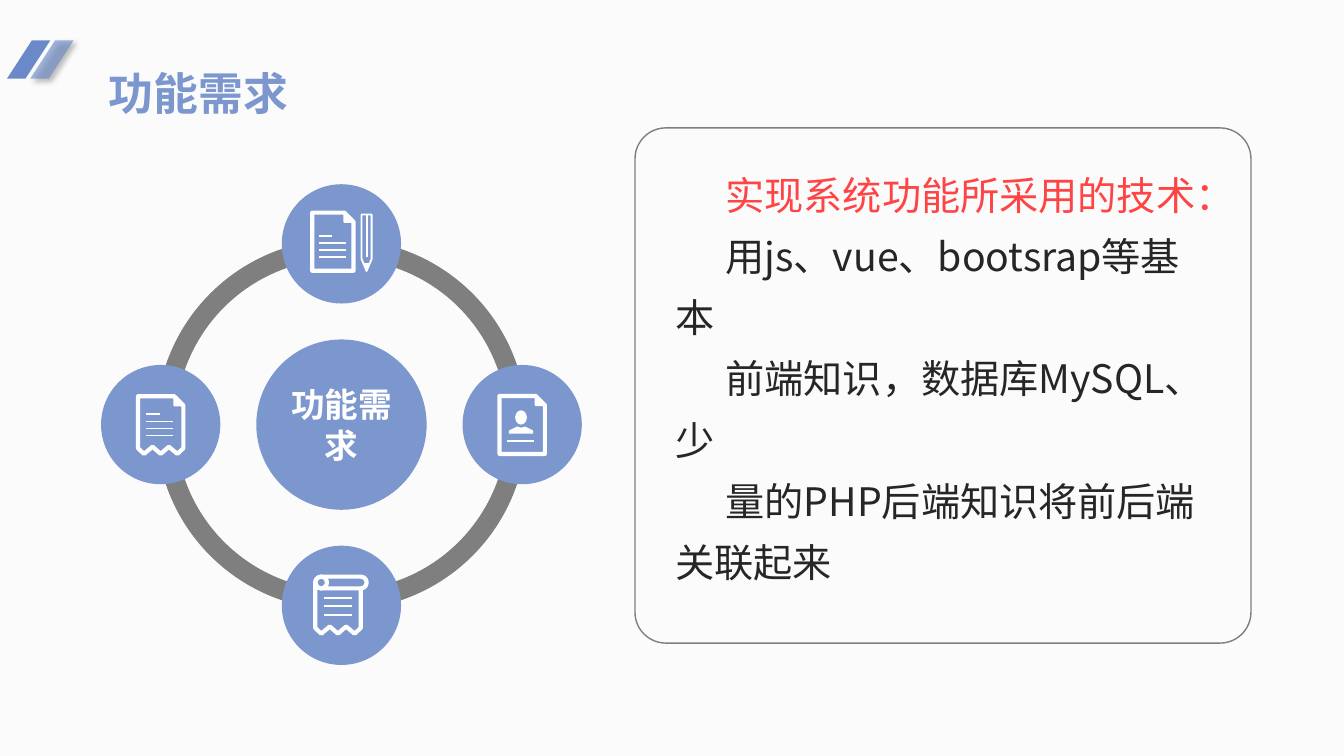
from dataclasses import dataclass

from lxml.etree import SubElement
from pptx import Presentation
from pptx.dml.color import RGBColor
from pptx.enum.shapes import MSO_CONNECTOR, MSO_SHAPE
from pptx.enum.text import MSO_ANCHOR, PP_ALIGN
from pptx.oxml.ns import qn
from pptx.util import Pt


@dataclass(frozen=True)
class Theme:
    paper: str = "FBFBFB"
    mark: str = "6A89C8"
    blue: str = "7C97CE"
    grey: str = "7F7F7F"
    white: str = "FFFFFF"
    red: str = "FE4444"
    ink: str = "262626"
    font: str = "Noto Sans CJK SC"
    latin: str = "Arial"
    title: int = 32
    body: int = 28
    hub: int = 24
    icon_line: float = 3
    row_line: float = 1.3


T = Theme()


def rgb(color):
    return RGBColor.from_string(color)


# Shared drawing helpers
def paint(sp, fill=None, line=None, width=1):
    sp.shadow.inherit = False
    if fill:
        sp.fill.solid()
        sp.fill.fore_color.rgb = rgb(fill)
    else:
        sp.fill.background()
    if line:
        sp.line.color.rgb = rgb(line)
        sp.line.width = Pt(width)
    else:
        sp.line.fill.background()
    return sp


def add_preset(s, kind, x, y, w, h, **look):
    sp = s.shapes.add_shape(kind, Pt(x), Pt(y), Pt(w), Pt(h))
    return paint(sp, **look)


def add_disc(s, cx, cy, d, **look):
    return add_preset(s, MSO_SHAPE.OVAL, cx - d / 2, cy - d / 2, d, d, **look)


def add_outline(s, cx, cy, points, closed=True, **look):
    dots = [(Pt(cx + x), Pt(cy + y)) for x, y in points]
    builder = s.shapes.build_freeform(*dots[0])
    builder.add_line_segments(dots[1:], close=closed)
    return paint(builder.convert_to_shape(), **look)


def add_rule(s, x1, y1, x2, y2):
    cn = s.shapes.add_connector(MSO_CONNECTOR.STRAIGHT, Pt(x1), Pt(y1), Pt(x2), Pt(y2))
    cn.line.color.rgb = rgb(T.white)
    cn.line.width = Pt(T.row_line)
    SubElement(cn._element.spPr, qn("a:effectLst"))


def style(p, size, color, bold=False, font=T.font):
    p.font.size, p.font.bold, p.font.name = Pt(size), bold, font
    p.font.color.rgb = rgb(color)
    props = p._p.pPr.find(qn("a:defRPr"))
    SubElement(props, qn("a:ea"), typeface=T.font)


# Icon parts, placed from the centre of their disc
def torn_edge(left, y):
    steps = [(0, 0), (4.3, 4), (10.4, -1.1), (16.2, 4), (22, -1.1), (28.1, 4), (32.4, 0)]
    return [(left + dx, y + dy) for dx, dy in steps]


def add_page(s, cx, cy, right, top, bottom_edge):
    fold = 6.6
    corner = [(right - fold, top), (right, top + fold)]
    add_outline(s, cx, cy, [(bottom_edge[0][0], top), *corner, *reversed(bottom_edge)],
                line=T.white, width=T.icon_line)
    add_outline(s, cx, cy, [*corner, (right - fold, top + fold)],
                fill=T.white, line=T.white, width=T.row_line)


def add_rows(s, cx, cy, left, top, pitch, widths):
    for i, w in enumerate(widths):
        y = cy + top + i * pitch
        add_rule(s, cx + left, y, cx + left + w, y)


def draw_pencil(s, cx, cy):
    add_page(s, cx, cy, 8.6, -22.3, [(-20.9, 19.2), (8.6, 19.2)])
    add_rows(s, cx, cy, -15.8, -5.8, 5.05, [9.4, 19.4, 19.4, 19.4])
    add_outline(s, cx, cy, [(14.4, -20.9), (21.6, -20.9), (21.6, 10.8), (18, 19.4), (14.4, 10.8)],
                line=T.white, width=T.row_line)
    add_outline(s, cx, cy, [(15.8, 13.7), (20.2, 13.7), (18, 19.4)], fill=T.white)
    add_rule(s, cx + 18, cy - 20.9, cx + 18, cy + 9.7)


def draw_profile(s, cx, cy):
    add_page(s, cx, cy, 16.2, -20.5, [(-16.2, 20.9), (16.2, 20.9)])
    add_preset(s, MSO_SHAPE.OVAL, cx - 5, cy - 10.2, 8.4, 10.2, fill=T.white)
    add_outline(s, cx, cy, [(-9.4, 6.5), (-9.4, 4.3), (-3.6, 1.4), (-0.7, 2.2),
                            (2.2, 1.4), (7.9, 4.3), (7.9, 6.5)], fill=T.white)
    add_rows(s, cx, cy, -10.8, 11.5, 0, [19.4])


def draw_scroll(s, cx, cy):
    edge = torn_edge(-18.7, 16.2)
    add_outline(s, cx, cy, [(-18.7, -16.4), *edge, (13.7, -12)], closed=False,
                line=T.white, width=T.icon_line)
    roll = add_preset(s, MSO_SHAPE.ROUNDED_RECTANGLE, cx - 18.7, cy - 20.5, 36.7, 8.4,
                      line=T.white, width=T.icon_line)
    roll.adjustments[0] = 0.5
    add_disc(s, cx - 14.5, cy - 16.3, 8.4, line=T.white, width=T.icon_line)
    add_rows(s, cx, cy, -12.2, -5.4, 6.1, [19.4] * 3)


def draw_receipt(s, cx, cy):
    add_page(s, cx, cy, 16.2, -20.3, torn_edge(-16.2, 16.9))
    add_rows(s, cx, cy, -10.4, -7.3, 5.05, [10, 19.4, 19.4, 19.4])


# Heading: slanted marks and title
def heading(s, x, y):
    for dx, alpha in ((16.6, 63), (0, 100)):
        sp = add_preset(s, MSO_SHAPE.PARALLELOGRAM, x + dx, y, 31, 27.4, fill=T.mark)
        sp.adjustments[0] = 0.65
        if alpha < 100:
            tint = sp._element.spPr.find(qn("a:solidFill"))[0]
            SubElement(tint, qn("a:alpha"), val=str(alpha * 1000))
            effects = sp._element.spPr.find(qn("a:effectLst"))
            shadow = SubElement(effects, qn("a:outerShdw"), blurRad=str(Pt(4)),
                                dist=str(Pt(3)), dir="2700000", algn="tl")
            black = SubElement(shadow, qn("a:srgbClr"), val="000000")
            SubElement(black, qn("a:alpha"), val="40000")
    title = s.shapes.title
    title.left, title.top, title.width, title.height = Pt(x + 65.6), Pt(y + 2.9), Pt(222), Pt(108)
    tf = title.text_frame
    tf.text = "功能需求"
    tf.vertical_anchor = MSO_ANCHOR.TOP
    p = tf.paragraphs[0]
    p.alignment, p.line_spacing = PP_ALIGN.LEFT, 1.3
    style(p, T.title, T.blue, bold=True)


# Wheel: hub, four ring arcs, four icon discs
def wheel(s, x, y, size):
    node = 85.2
    orbit = (size - node) / 2
    cx, cy = x + size / 2, y + size / 2
    hub = add_disc(s, cx, cy, 121.7, fill=T.blue)
    tf = hub.text_frame
    tf.margin_left = tf.margin_right = 0
    tf.text = "功能需求"
    tf.vertical_anchor = MSO_ANCHOR.MIDDLE
    tf.paragraphs[0].alignment = PP_ALIGN.CENTER
    style(tf.paragraphs[0], T.hub, T.white, bold=True)

    quarter = 54
    for i in range(4):
        arc = add_disc_arc(s, cx, cy, 264.2)
        arc.adjustments[0] = i * quarter
        arc.adjustments[1] = (i + 1) % 4 * quarter
        arc.adjustments[2] = 0.05
    for dx, dy, draw in ((0, 1, draw_scroll), (-1, 0, draw_receipt),
                         (0, -1, draw_pencil), (1, 0, draw_profile)):
        nx, ny = cx + dx * orbit, cy + dy * orbit
        add_disc(s, nx, ny, node, fill=T.blue)
        draw(s, nx, ny)


def add_disc_arc(s, cx, cy, d):
    return add_preset(s, MSO_SHAPE.BLOCK_ARC, cx - d / 2, cy - d / 2, d, d,
                      fill=T.grey, line=T.grey, width=0.75)


# Card: rounded frame with the technology list
def card(s, x, y, w, h):
    frame = add_preset(s, MSO_SHAPE.ROUNDED_RECTANGLE, x, y, w, h, line=T.grey)
    frame.adjustments[0] = 0.06
    tb = s.shapes.add_textbox(Pt(x + 21.6), Pt(y + 17.3), Pt(398.2), Pt(315.4))
    tf = tb.text_frame
    tf.word_wrap = True
    lines = [("实现系统功能所采用的技术：", T.red, T.latin),
             ("用js、vue、bootsrap等基本", T.ink, T.font),
             ("前端知识，数据库MySQL、少", T.ink, T.font),
             ("量的PHP后端知识将前后端关联起来", T.ink, T.font)]
    for i, (text, color, font) in enumerate(lines):
        p = tf.add_paragraph() if i else tf.paragraphs[0]
        p.text, p.line_spacing = text, 1.3
        p._p.get_or_add_pPr().set("indent", str(Pt(36)))
        style(p, T.body, color, font=font)


def main():
    prs = Presentation()
    prs.slide_width, prs.slide_height = Pt(960), Pt(540)
    s = prs.slides.add_slide(prs.slide_layouts[5])
    s.background.fill.solid()
    s.background.fill.fore_color.rgb = rgb(T.paper)
    heading(s, 5, 28.8)
    wheel(s, 72.2, 131.6, 343.4)
    card(s, 453.6, 91.4, 440, 368)
    prs.save("out.pptx")


if __name__ == "__main__":
    main()
